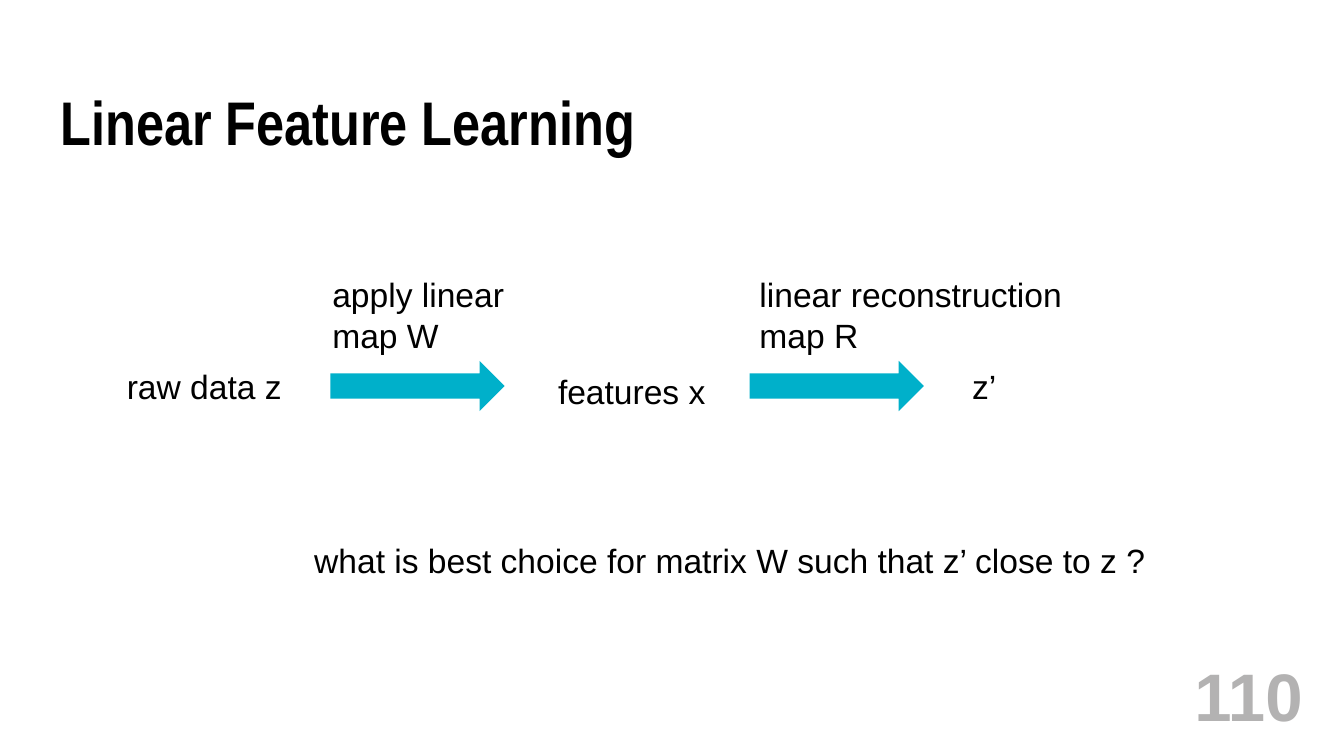
from typing import NamedTuple

from pptx import Presentation
from pptx.dml.color import RGBColor
from pptx.enum import shapes, text
from pptx.util import Emu, Pt

PX = 9144  # EMU per px, 100 px to the inch

BLACK = RGBColor(0x00, 0x00, 0x00)
GREY = RGBColor(0xB3, 0xB2, 0xB2)
TEAL = RGBColor(0x00, 0xB0, 0xCA)

BODY_FONT = dict(name="Arial", size=Pt(24), bold=False)
TITLE_FONT = dict(name="Arial Narrow", size=Pt(44), bold=True)
NUMBER_FONT = dict(name="Arial", size=Pt(48), bold=True)


class Label(NamedTuple):
    left: int
    top: int
    width: int
    height: int
    lines: tuple[str, ...]


ROW_TOP, ROW_HEIGHT = 358, 50
CAPTION_TOP, CAPTION_HEIGHT = 267, 91
ARROW_WIDTH = 173
ARROW_LEFTS = (328, 744)

LABELS = (
    Label(116, ROW_TOP, 185, ROW_HEIGHT, ("raw data z",)),
    Label(544, ROW_TOP + 5, 168, ROW_HEIGHT, ("features x",)),
    Label(955, ROW_TOP, 45, ROW_HEIGHT, ("z’",)),
    Label(320, CAPTION_TOP, 202, CAPTION_HEIGHT, ("apply linear", "map W")),
    Label(744, CAPTION_TOP, 333, CAPTION_HEIGHT,
          ("linear reconstruction", "map R")),
    Label(302, 531, 870, ROW_HEIGHT,
          ("what is best choice for matrix W such that z’ close to z ?",)),
)


def px(*lengths: int) -> list[Emu]:
    return [Emu(length * PX) for length in lengths]


def apply_format(target, values: dict) -> None:
    for name, value in values.items():
        setattr(target, name, value)


def write(frame, lines: tuple[str, ...], font: dict, color: RGBColor,
          align=text.PP_ALIGN.LEFT) -> None:
    for index, line in enumerate(lines):
        para = frame.add_paragraph() if index else frame.paragraphs[0]
        para.alignment = align
        span = para.add_run()
        span.text = line
        apply_format(span.font, font)
        span.font.color.rgb = color


def set_margins(frame, margin: int) -> None:
    for side in ("left", "top", "right", "bottom"):
        setattr(frame, f"margin_{side}", Emu(margin * PX))


def add_title(page, title: str) -> None:
    box = page.shapes.title
    apply_format(box, dict(zip(("left", "top", "width", "height"),
                               px(60, 92, 1213, 67))))
    frame = box.text_frame
    set_margins(frame, 0)
    apply_format(frame, dict(vertical_anchor=text.MSO_ANCHOR.TOP,
                             auto_size=text.MSO_AUTO_SIZE.NONE,
                             word_wrap=True))
    write(frame, (title,), TITLE_FONT, BLACK)
    frame.paragraphs[0].line_spacing = 0.9


def add_label(page, label: Label) -> None:
    box = page.shapes.add_textbox(*px(*label[:4]))
    apply_format(box.text_frame,
                 dict(word_wrap=False,
                      auto_size=text.MSO_AUTO_SIZE.SHAPE_TO_FIT_TEXT))
    write(box.text_frame, label.lines, BODY_FONT, BLACK)


def add_arrow(page, left: int) -> None:
    arrow = page.shapes.add_shape(shapes.MSO_SHAPE.RIGHT_ARROW,
                                  *px(left, ROW_TOP, ARROW_WIDTH, ROW_HEIGHT))
    arrow.shadow.inherit = False
    arrow.fill.solid()
    arrow.fill.fore_color.rgb = TEAL
    arrow.line.fill.background()


def add_page_number(page, number: str) -> None:
    frame = page.shapes.add_textbox(*px(1092, 658, 205, 63)).text_frame
    set_margins(frame, 4)
    apply_format(frame, dict(word_wrap=True,
                             vertical_anchor=text.MSO_ANCHOR.MIDDLE))
    write(frame, (number,), NUMBER_FONT, GREY, text.PP_ALIGN.RIGHT)


def main() -> None:
    deck = Presentation()
    deck.slide_width, deck.slide_height = px(1334, 750)
    page = deck.slides.add_slide(deck.slide_layouts.get_by_name("Title Only"))

    # Heading and page number
    add_title(page, "Linear Feature Learning")
    add_page_number(page, "110")

    # Flow from raw data to reconstruction
    for left in ARROW_LEFTS:
        add_arrow(page, left)
    for label in LABELS:
        add_label(page, label)

    deck.save("out.pptx")


if __name__ == "__main__":
    main()
